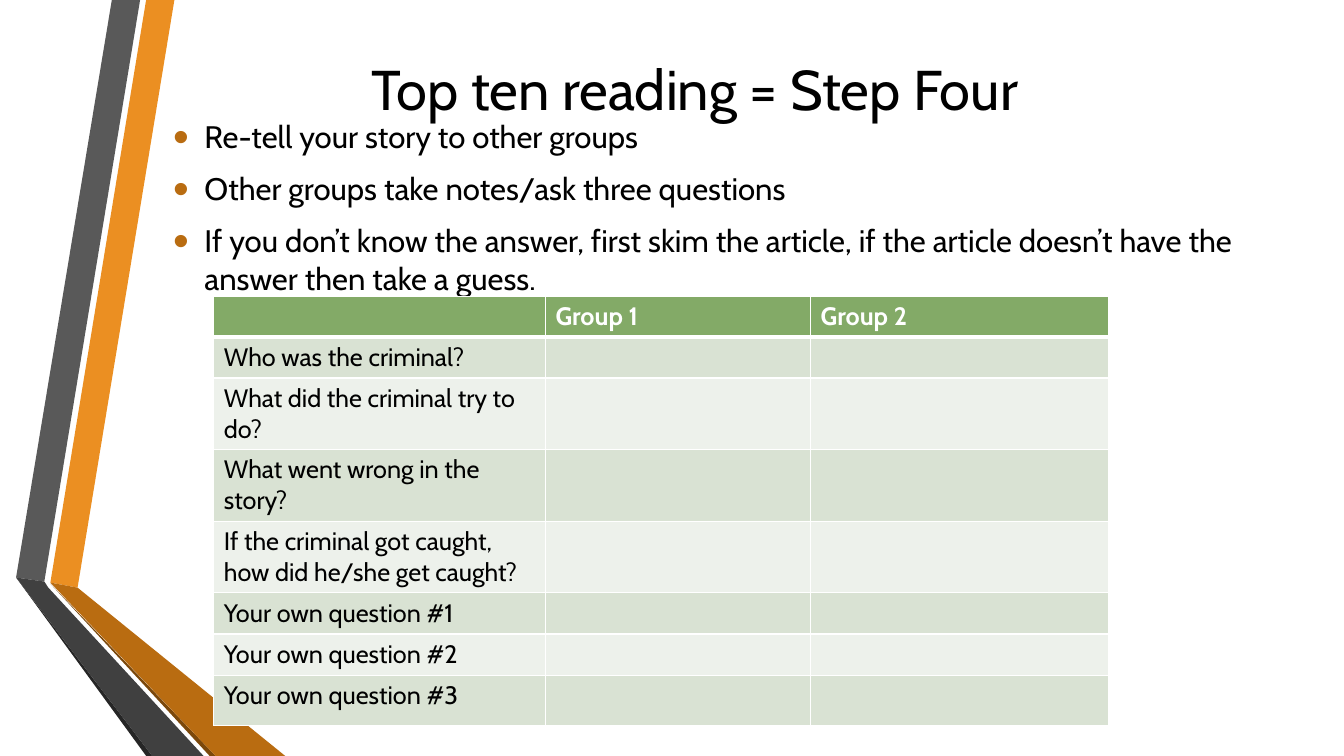
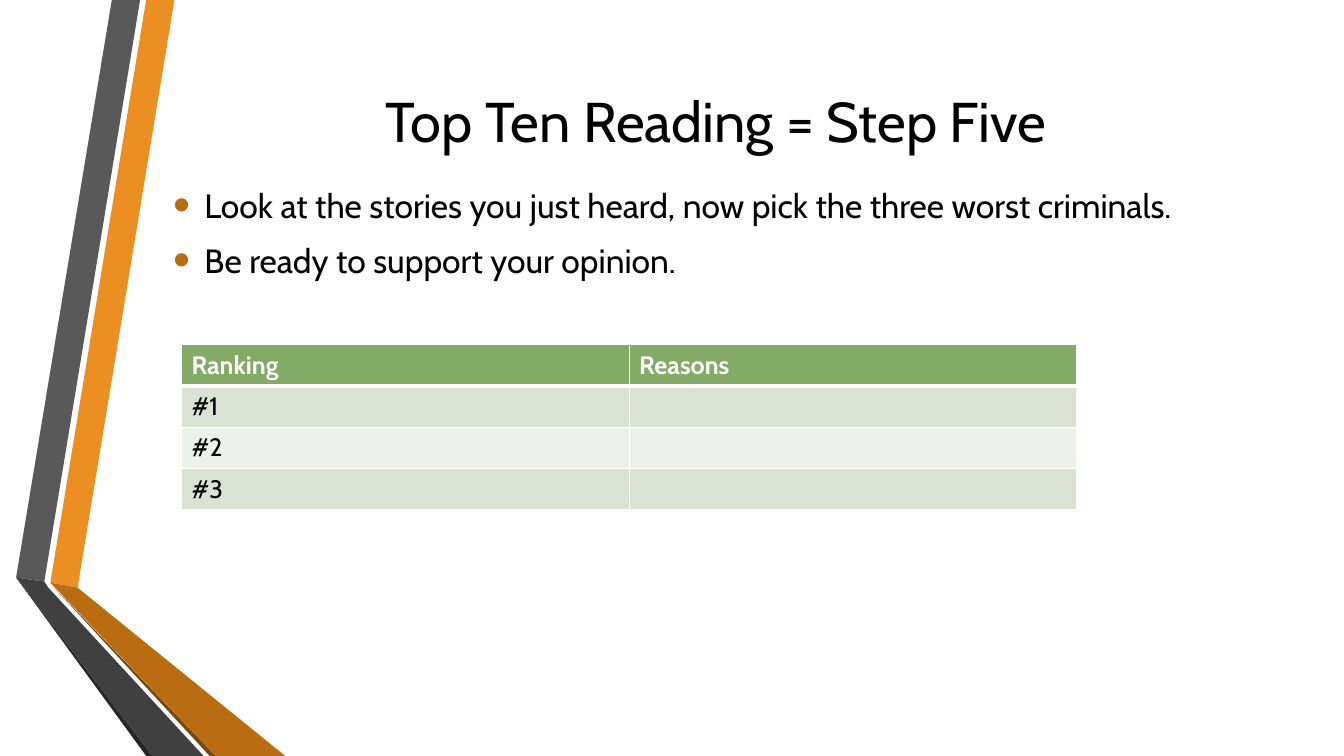
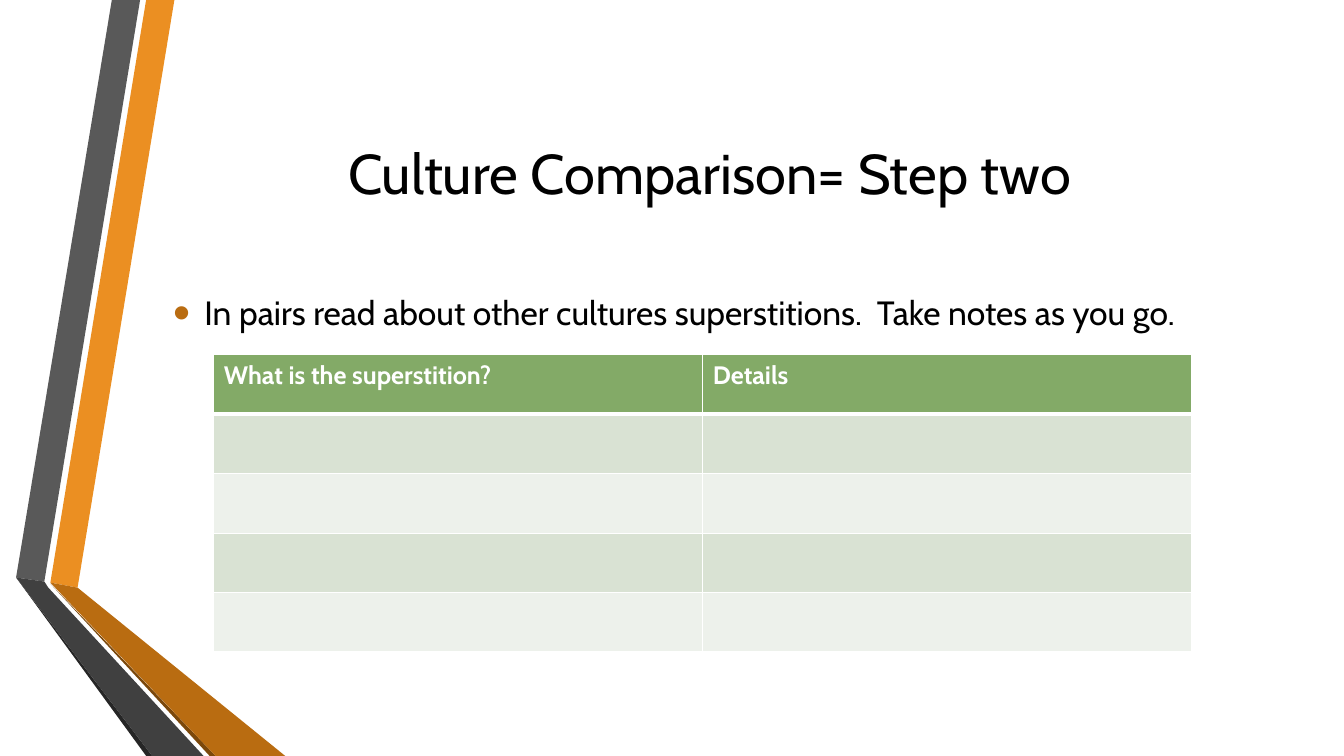
from lxml import etree
from pptx import Presentation
from pptx import util as u
from pptx.dml.color import RGBColor
from pptx.enum import text
from pptx.oxml.ns import qn

FONT = "Cabin"
BLACK, WHITE = "000000", "FFFFFF"
HEAD, DARK, PALE = "83AA67", "D9E2D3", "EDF1EB"
RUST = "B96C11"
LEFT, WIDE = 1.62, 10.96

# Folded ribbons on the left of every slide: colour and corners in inches
BANDS = [
    ("EB8F22", [(0.5, 5.78), (0.77, 5.83), (1.73, 0), (1.45, 0)]),
    ("595959", [(1.39, 0), (1.11, 0), (0.16, 5.73), (0.44, 5.77)]),
    ("262626", [(0.16, 5.73), (1.45, 7.5), (1.51, 7.5)]),
    ("7B480B", [(0.5, 5.79), (2.08, 7.5), (2.14, 7.5)]),
    (RUST, [(0.5, 5.78), (2.14, 7.5), (2.83, 7.5), (0.77, 5.83)]),
    ("404040", [(2.02, 7.5), (0.48, 5.83), (0.44, 5.77), (0.16, 5.73), (1.51, 7.5)]),
]

# Per slide: title, its box; bullets, their size and top and height; table
SLIDES = [
    dict(title="Top ten reading = Step Four", box=(1.41, 0.3, WIDE, 1.14),
         points=["Re-tell your story to other groups",
                 "Other groups take notes/ask three questions",
                 "If you don’t know the answer, first skim the article, "
                 "if the article doesn’t have the answer then take a guess."],
         size=22.2, top=1.2, high=1.71,
         at=(2.12, 2.94), cols=[3.29, 2.63, 2.96],
         rows=[0.4, 0.41, 0.71, 0.71, 0.71, 0.41, 0.41, 0.5],
         cells=[["", "Group 1", "Group 2"],
                ["Who was the criminal?"],
                ["What did the criminal try to do?"],
                ["What went wrong in the story?"],
                ["If the criminal got caught, how did he/she get caught?"],
                ["Your own question #1"],
                ["Your own question #2"],
                ["Your own question #3"]]),
    dict(title="Top Ten Reading = Step Five", box=(LEFT, 0.75, WIDE, 0.89),
         points=["Look at the stories you just heard, now pick the three worst criminals.",
                 "Be ready to support your opinion."],
         size=24, top=1.64, high=1.33,
         at=(1.8, 3.42), cols=[4.44] * 2, rows=[0.41] * 4,
         cells=[["Ranking", "Reasons"], ["#1"], ["#2"], ["#3"]]),
    dict(title="Culture Comparison= Step two ", box=(LEFT, 0.75, WIDE, 1.92),
         points=["In pairs read about other cultures superstitions.  Take notes as you go."],
         size=24, top=2.4, high=1.4,
         at=(2.12, 3.52), cols=[4.85] * 2, rows=[0.59] * 5,
         cells=[["What is the superstition?", "Details"]]),
]


def rgb(code):
    return RGBColor.from_string(code)


def write(slide, box, lines, size):
    """Add a middle-anchored text box and return its paragraphs."""
    frame = slide.shapes.add_textbox(*map(u.Inches, box)).text_frame
    frame.word_wrap = True
    frame.vertical_anchor = text.MSO_ANCHOR.MIDDLE
    frame.text = "\n".join(lines)
    for para in frame.paragraphs:
        para.font.name, para.font.size = FONT, u.Pt(size)
        para.font.color.rgb = rgb(BLACK)
    return frame.paragraphs


deck = Presentation()
deck.slide_width, deck.slide_height = u.Inches(13.33), u.Inches(7.5)

for page in SLIDES:
    slide = deck.slides.add_slide(deck.slide_layouts[6])

    # Ribbons
    for color, pts in BANDS:
        pts = [(u.Inches(x), u.Inches(y)) for x, y in pts]
        pen = slide.shapes.build_freeform(*pts[0])
        pen.add_line_segments(pts[1:], close=True)
        band = pen.convert_to_shape()
        band.shadow.inherit = False
        band.fill.solid()
        band.fill.fore_color.rgb = rgb(color)
        band.line.fill.background()

    # Title
    for para in write(slide, page["box"], [page["title"]], 40):
        para.alignment = text.PP_ALIGN.CENTER

    # Bullets
    body = (LEFT, page["top"], WIDE, page["high"])
    for para in write(slide, body, page["points"], page["size"]):
        para.space_before = u.Pt(0.2 * page["size"])
        para.space_after = u.Pt(6)
        props = para._p.get_or_add_pPr()
        props.set("marL", str(u.Inches(0.31)))
        props.set("indent", str(-u.Inches(0.31)))
        tint = etree.Element(qn("a:buClr"))
        etree.SubElement(tint, qn("a:srgbClr"), val=RUST)
        scale = etree.Element(qn("a:buSzPct"), val="145000")
        face = etree.Element(qn("a:buFont"), typeface="Arial")
        dot = etree.Element(qn("a:buChar"), char="•")
        spot = props.index(props.find(qn("a:spcAft"))) + 1
        props[spot:spot] = [tint, scale, face, dot]

    # Table
    cols, rows = page["cols"], page["rows"]
    area = (*page["at"], sum(cols), sum(rows))
    grid = slide.shapes.add_table(len(rows), len(cols), *map(u.Inches, area)).table
    for col, wide in zip(grid.columns, cols):
        col.width = u.Inches(wide)
    for row, high in zip(grid.rows, rows):
        row.height = u.Inches(high)
    for r, words in enumerate(page["cells"]):
        for c, word in enumerate(words):
            grid.cell(r, c).text = word

    # Cell look: green header, then two alternating tints
    for r, row in enumerate(grid.rows):
        for cell in row.cells:
            para = cell.text_frame.paragraphs[0]
            para.font.name, para.font.size = FONT, u.Pt(18)
            para.font.bold = r == 0
            para.font.color.rgb = rgb(BLACK if r else WHITE)
            props = cell._tc.get_or_add_tcPr()
            for side in "LRTB":
                thick = (r, side) in ((0, "B"), (1, "T"))
                edge = etree.SubElement(props, qn("a:ln" + side),
                                        w=str(u.Pt(3 if thick else 1)))
                fill = etree.SubElement(edge, qn("a:solidFill"))
                etree.SubElement(fill, qn("a:srgbClr"), val=WHITE)
            cell.fill.solid()
            cell.fill.fore_color.rgb = rgb((DARK if r % 2 else PALE) if r else HEAD)

deck.save("out.pptx")
